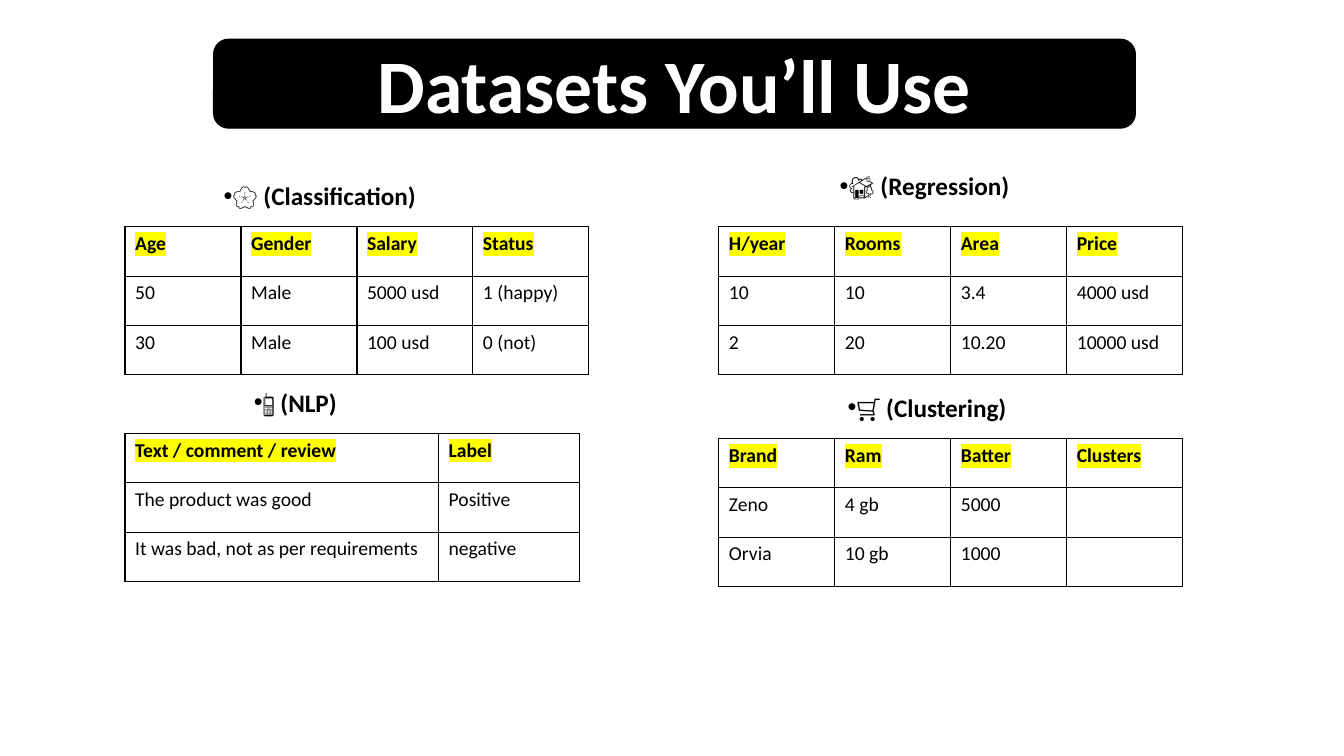
"""Builds the slide that shows four sample datasets as small tables."""
from lxml import etree
from pptx import Presentation
from pptx.dml.color import RGBColor
from pptx.enum.shapes import MSO_SHAPE
from pptx.enum.text import MSO_ANCHOR, MSO_AUTO_SIZE, PP_ALIGN
from pptx.oxml.ns import qn
from pptx.util import Inches, Pt

ROUND = MSO_SHAPE.ROUNDED_RECTANGLE
MIDDLE = MSO_ANCHOR.MIDDLE
FIT = MSO_AUTO_SIZE.SHAPE_TO_FIT_TEXT
FIXED = MSO_AUTO_SIZE.NONE
CENTER = PP_ALIGN.CENTER

THEME = {
    "ink": "000000", "paper": "FFFFFF", "mark": "FFFF00",
    "title": {"name": "Calibri", "size": Pt(54), "bold": True},
    "label": {"name": "Calibri", "size": Pt(18), "bold": True},
    "head": {"name": "Calibri", "size": Pt(14), "bold": True},
    "body": {"name": "Calibri", "size": Pt(14), "bold": False},
}
ROW = 0.49
FOUR = [1.15] * 4
DATA = [
    {"label": "🌸 (Classification)", "box": (2.12, 1.74, 6.67, 0.4),
     "at": (1.24, 2.25), "cols": FOUR,
     "rows": [["Age", "Gender", "Salary", "Status"],
              ["50", "Male", "5000 usd", "1 (happy)"],
              ["30", "Male", "100 usd", "0 (not)"]]},
    {"label": "🏡 (Regression)", "box": (8.23, 1.64, 6.67, 0.4),
     "at": (7.13, 2.25), "cols": FOUR,
     "rows": [["H/year", "Rooms", "Area", "Price"],
              ["10", "10", "3.4", "4000 usd"],
              ["2", "20", "10.20", "10000 usd"]]},
    {"label": "📱 (NLP)", "box": (2.42, 3.79, 7.3, 0.4),
     "at": (1.24, 4.3), "cols": [3.11, 1.4],
     "rows": [["Text / comment / review", "Label"],
              ["The product was good", "Positive"],
              ["It was bad, not as per requirements", "negative"]]},
    {"label": "🛒 (Clustering)", "box": (8.31, 3.84, 6.67, 0.4),
     "at": (7.13, 4.35), "cols": FOUR,
     "rows": [["Brand", "Ram", "Batter", "Clusters"],
              ["Zeno", "4 gb", "5000", ""],
              ["Orvia", "10 gb", "1000", ""]]},
]


def write(para, text, kind, color="ink"):
    run = para.add_run()
    run.text = text
    for key, value in THEME[kind].items():
        setattr(run.font, key, value)
    run.font.color.rgb = RGBColor.from_string(THEME[color])
    return run


def paint(parent, color):
    fill = etree.SubElement(parent, qn("a:solidFill"))
    etree.SubElement(fill, qn("a:srgbClr"), val=THEME[color])


deck = Presentation()
deck.slide_width, deck.slide_height = Inches(13.33), Inches(7.5)
slide = deck.slides.add_slide(deck.slide_layouts[5])
shapes = slide.shapes
black = RGBColor.from_string(THEME["ink"])

place = [Inches(n) for n in (2.12, 0.39, 9.14, 0.88)]
bar = shapes.add_shape(ROUND, *place)
bar.shadow.inherit = False
bar.fill.solid()
bar.fill.fore_color.rgb = black
bar.line.color.rgb = black
bar.line.width = Pt(1)

title = shapes.title
for key, value in zip(("left", "top", "width", "height"), place):
    setattr(title, key, value)
bar.element.addnext(title.element)
frame = title.text_frame
for key, value in {"auto_size": FIXED, "vertical_anchor": MIDDLE,
                   "word_wrap": True}.items():
    setattr(frame, key, value)
frame.paragraphs[0].alignment = CENTER
write(frame.paragraphs[0], "Datasets You’ll Use", "title", "paper")

for item in DATA:
    label = shapes.add_textbox(*[Inches(n) for n in item["box"]]).text_frame
    label.word_wrap = True
    label.auto_size = FIT
    para = label.paragraphs[0]
    write(para, item["label"], "label")
    props = para._p.get_or_add_pPr()
    etree.SubElement(props, qn("a:buFont"), typeface="Arial")
    etree.SubElement(props, qn("a:buChar"), char="•")

    rows, cols = item["rows"], item["cols"]
    left, top = item["at"]
    table = shapes.add_table(
        len(rows), len(cols), Inches(left), Inches(top),
        Inches(sum(cols)), Inches(ROW * len(rows))).table
    table.horz_banding = False
    table.first_row = False
    for col, width in zip(table.columns, cols):
        col.width = Inches(width)
    for i, row in enumerate(rows):
        table.rows[i].height = Inches(ROW)
        for j, text in enumerate(row):
            cell = table.cell(i, j)
            cell.fill.background()
            props = cell._tc.get_or_add_tcPr()
            for k, side in enumerate(("lnL", "lnR", "lnT", "lnB")):
                line = etree.Element(qn(f"a:{side}"), w=str(Pt(1)))
                paint(line, "ink")
                props.insert(k, line)
            if not text:
                continue
            para = cell.text_frame.paragraphs[0]
            run = write(para, text, "body" if i else "head")
            if i == 0:
                mark = etree.Element(qn("a:highlight"))
                etree.SubElement(mark, qn("a:srgbClr"), val=THEME["mark"])
                run._r.rPr.find(qn("a:latin")).addprevious(mark)

deck.save("out.pptx")
